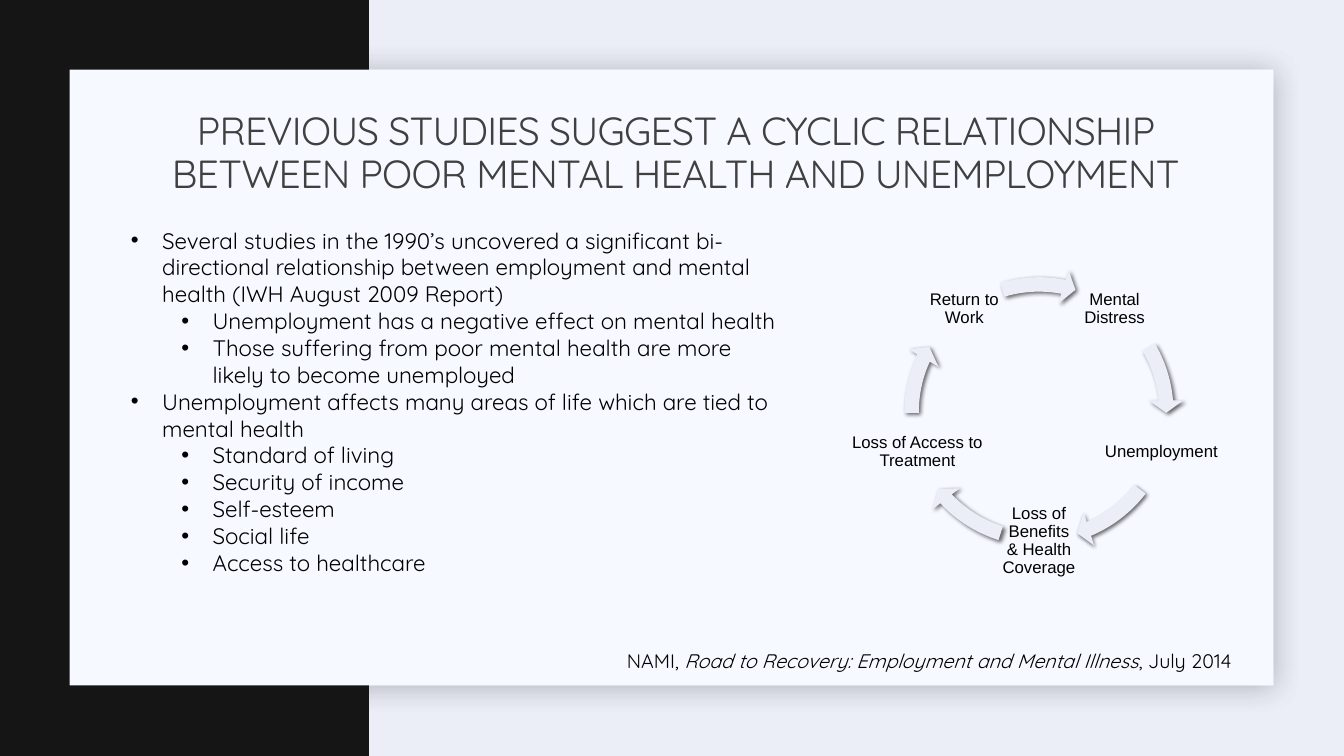
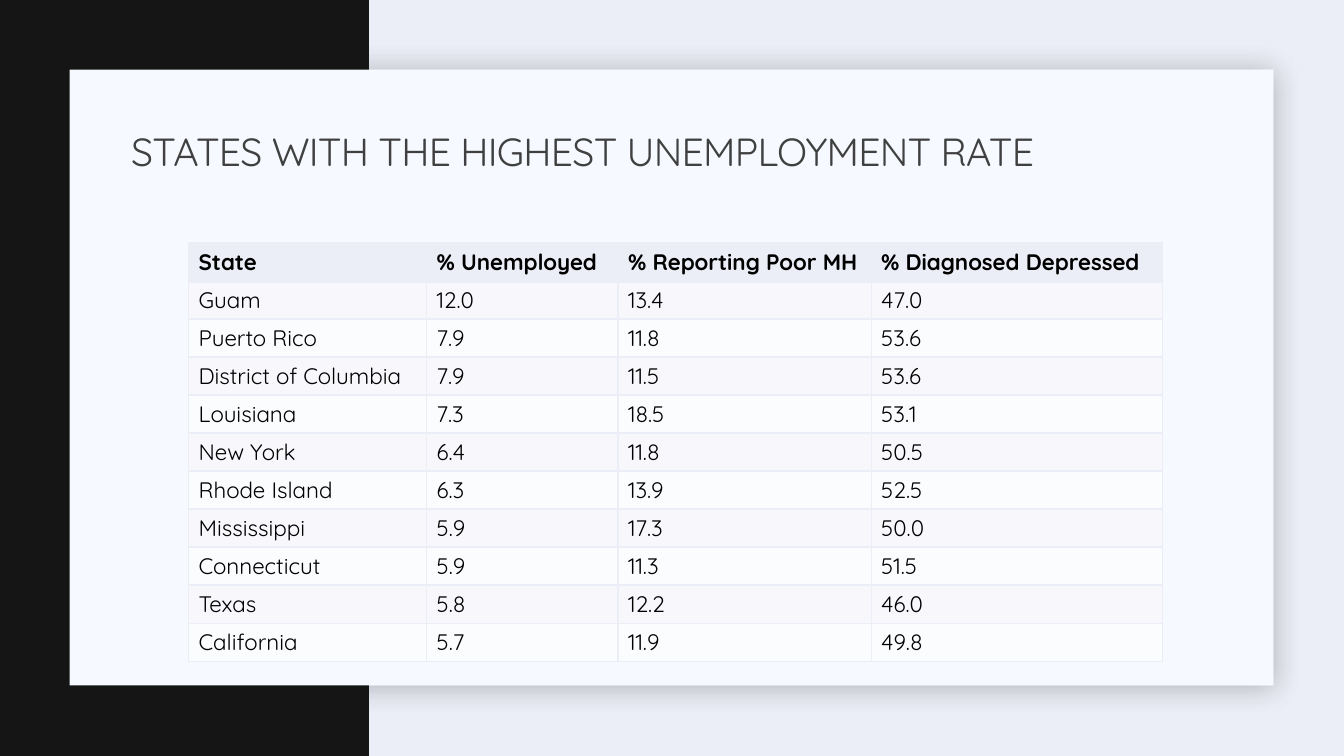
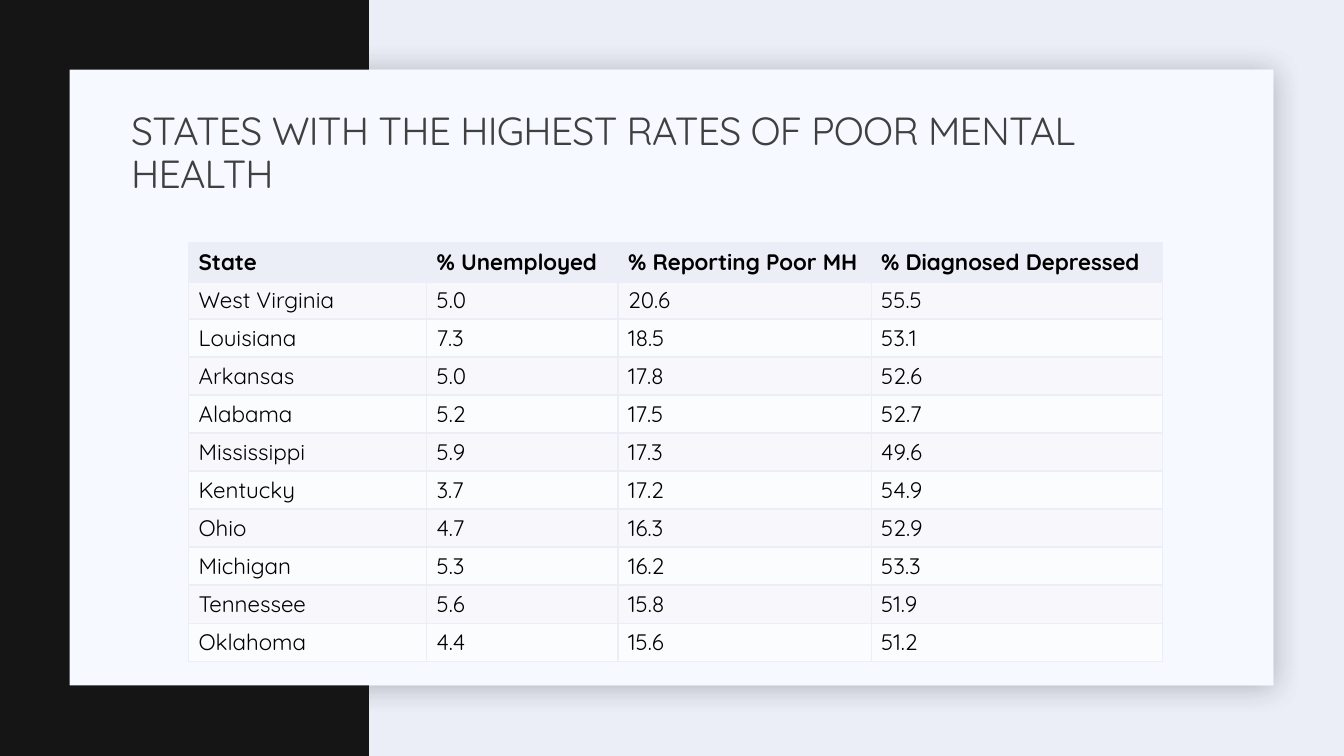
"""Build three slides on unemployment and mental health."""
from lxml import etree
from pptx import Presentation
from pptx.dml.color import RGBColor
from pptx.enum.shapes import MSO_SHAPE
from pptx.enum.text import MSO_ANCHOR, MSO_AUTO_SIZE, PP_ALIGN
from pptx.oxml.ns import qn
from pptx.util import Inches, Pt

RECTANGLE, ARROW = MSO_SHAPE.RECTANGLE, MSO_SHAPE.CIRCULAR_ARROW
TOP, MIDDLE = MSO_ANCHOR.TOP, MSO_ANCHOR.MIDDLE
LEFT, CENTER = PP_ALIGN.LEFT, PP_ALIGN.CENTER
NO_FIT = MSO_AUTO_SIZE.NONE

LAVENDER = RGBColor(0xEC, 0xEE, 0xF7)
CARD_FILL = RGBColor(0xF6, 0xF9, 0xFF)
BAND_FILL = RGBColor(0x14, 0x15, 0x14)
CARD_SHADOW = RGBColor(0x1F, 0x21, 0x25)
TITLE_GRAY = RGBColor(0x40, 0x40, 0x40)
BLACK = RGBColor(0, 0, 0)
ROW_FILLS = (RGBColor(0xF8, 0xF8, 0xFC), RGBColor(0xFB, 0xFC, 0xFD))
FONT, CYCLE_FONT = "Quicksand", "Arial"

CARD = (0.69, 0.69, 11.94, 6.11)
BAND = (0, 0, 3.66, 7.5)
TITLE_BOX = (1.2, 1.03, 11, 1)

CYCLE_TITLE = ("PREVIOUS STUDIES SUGGEST A CYCLIC RELATIONSHIP "
               "BETWEEN POOR MENTAL HEALTH AND UNEMPLOYMENT")
FINDINGS = [
    ("Several studies in the 1990’s uncovered a significant bi-directional "
     "relationship between employment and mental health (IWH August 2009 Report)",
     ["Unemployment has a negative effect on mental health",
      "Those suffering from poor mental health are more likely to become unemployed"]),
    ("Unemployment affects many areas of life which are tied to mental health",
     ["Standard of living", "Security of income", "Self-esteem", "Social life",
      "Access to healthcare"]),
]
CITATION = [("NAMI, ", False),
            ("Road to Recovery: Employment and Mental Illness", True),
            (", July 2014", False)]
CYCLE_CIRCLE = (8.87, 2.65, 2.87, 2.87)
CYCLE_STAGES = [
    ("Mental Distress", 10.67, 2.68, 0.77),
    ("Unemployment", 10.89, 4.1, 1.26),
    ("Loss of Benefits & Health Coverage", 9.92, 4.98, 0.77),
    ("Loss of Access to Treatment", 8.42, 4.1, 1.36),
    ("Return to Work", 9.18, 2.68, 0.77),
]
STAGE_HEIGHT = 0.77
ARROW_ANGLES = [(329.43, 354.89), (37.55, 66.92), (107.49, 136.85),
                (179.51, 204.97), (253.3, 281.1)]

HEADERS = ("State", "% Unemployed", "% Reporting Poor MH", "% Diagnosed Depressed")
COLUMN_WIDTHS = (2.36, 1.9, 2.51, 2.89)
TABLE_LEFT, TABLE_TOP, TABLE_HEIGHT, ROW_HEIGHT = 1.87, 2.41, 4.03, 0.33
STATE_TABLES = [
    ("STATES WITH THE HIGHEST UNEMPLOYMENT RATE", [
        ("Guam", "12.0", "13.4", "47.0"),
        ("Puerto Rico", "7.9", "11.8", "53.6"),
        ("District of Columbia", "7.9", "11.5", "53.6"),
        ("Louisiana", "7.3", "18.5", "53.1"),
        ("New York", "6.4", "11.8", "50.5"),
        ("Rhode Island", "6.3", "13.9", "52.5"),
        ("Mississippi", "5.9", "17.3", "50.0"),
        ("Connecticut", "5.9", "11.3", "51.5"),
        ("Texas", "5.8", "12.2", "46.0"),
        ("California", "5.7", "11.9", "49.8"),
    ]),
    ("STATES WITH THE HIGHEST RATES OF POOR MENTAL HEALTH", [
        ("West Virginia", "5.0", "20.6", "55.5"),
        ("Louisiana", "7.3", "18.5", "53.1"),
        ("Arkansas", "5.0", "17.8", "52.6"),
        ("Alabama", "5.2", "17.5", "52.7"),
        ("Mississippi", "5.9", "17.3", "49.6"),
        ("Kentucky", "3.7", "17.2", "54.9"),
        ("Ohio", "4.7", "16.3", "52.9"),
        ("Michigan", "5.3", "16.2", "53.3"),
        ("Tennessee", "5.6", "15.8", "51.9"),
        ("Oklahoma", "4.4", "15.6", "51.2"),
    ]),
]


def inches(box):
    return [Inches(length) for length in box]


def add_color(parent, color):
    return etree.SubElement(parent, qn("a:srgbClr"), val=str(color))


def write(paragraph, text, size=16, font=FONT, color=BLACK, bold=False,
          align=LEFT, line_spacing=1.0, tracking=0, bullet_indent=None):
    """Write a string, or a list of (text, italic) runs, into a paragraph."""
    paragraph.alignment = align
    paragraph.line_spacing = line_spacing
    for content, italic in [(text, False)] if isinstance(text, str) else text:
        run = paragraph.add_run()
        run.text = content
        run.font.name, run.font.size = font, Pt(size)
        run.font.bold, run.font.italic = bold, italic
        run.font.color.rgb = color
        if tracking:
            run.font._element.set("spc", str(int(tracking * 100)))
    if bullet_indent is not None:
        properties = paragraph._p.get_or_add_pPr()
        properties.set("marL", str(Inches(bullet_indent)))
        properties.set("indent", str(Inches(-0.31)))
        etree.SubElement(properties, qn("a:buFont"), typeface="Arial")
        etree.SubElement(properties, qn("a:buChar"), char="•")


def add_text_box(slide, box, anchor=TOP, margin=None):
    frame = slide.shapes.add_textbox(*inches(box)).text_frame
    frame.word_wrap = True
    frame.vertical_anchor = anchor
    if margin is not None:
        frame.margin_left = frame.margin_right = Inches(margin)
        frame.margin_top = frame.margin_bottom = Inches(margin)
    return frame


def add_filled_shape(slide, kind, box, color, shadow=None):
    """Add an unlined shape; shadow is (colour, opacity percent, blur points)."""
    shape = slide.shapes.add_shape(kind, *inches(box))
    shape.fill.solid()
    shape.fill.fore_color.rgb = color
    shape.line.fill.background()
    shape.shadow.inherit = False
    if shadow:
        shadow_color, opacity, blur = shadow
        effects = shape._element.spPr.find(qn("a:effectLst"))
        outer = etree.SubElement(effects, qn("a:outerShdw"), blurRad=str(Pt(blur)),
                                 dist=str(Pt(2)), dir="2700000", algn="tl",
                                 rotWithShape="0")
        etree.SubElement(add_color(outer, shadow_color), qn("a:alpha"),
                         val=str(opacity * 1000))
    return shape


def decorate_layout(layout, slide):
    """Give the layout its background, card and side band."""
    layout.background.fill.solid()
    layout.background.fill.fore_color.rgb = LAVENDER
    for placeholder in list(layout.placeholders)[1:]:
        placeholder._element.getparent().remove(placeholder._element)
    card = (CARD, CARD_FILL, (CARD_SHADOW, 15, 20))
    parts = [card, (BAND, BAND_FILL, None), card]
    shapes = [add_filled_shape(slide, RECTANGLE, *part) for part in parts]
    for position, shape in enumerate(shapes, start=2):
        layout.shapes._spTree.insert(position, shape._element)


def set_title(slide, text, align=LEFT):
    title = slide.shapes.title
    title.left, title.top, title.width, title.height = inches(TITLE_BOX)
    frame = title.text_frame
    frame.auto_size = NO_FIT
    frame.word_wrap = True
    frame.vertical_anchor = MIDDLE
    write(frame.paragraphs[0], text, size=28, color=TITLE_GRAY, align=align,
          line_spacing=0.9, tracking=-0.5)


def add_cycle(slide):
    for (label, left, top, width), (start, end) in zip(CYCLE_STAGES, ARROW_ANGLES):
        frame = add_text_box(slide, (left, top, width, STAGE_HEIGHT), MIDDLE, 0.02)
        write(frame.paragraphs[0], label, size=12, font=CYCLE_FONT, align=CENTER,
              line_spacing=0.9)
        arrow = add_filled_shape(slide, ARROW, CYCLE_CIRCLE, LAVENDER, (BLACK, 60, 3))
        settings = (0.05, 5.6 * 0.6, end * 0.6, start * 0.6, 0.06)
        for index, value in enumerate(settings):
            arrow.adjustments[index] = value


def add_findings(slide):
    frame = add_text_box(slide, (1.2, 2.2, 6.65, 3.87))
    lines = []
    for finding, details in FINDINGS:
        lines += [(finding, 0.31)] + [(detail, 0.81) for detail in details]
    for index, (text, indent) in enumerate(lines):
        paragraph = frame.add_paragraph() if index else frame.paragraphs[0]
        write(paragraph, text, bullet_indent=indent)


def set_borders(cell, bottom):
    properties = cell._tc.get_or_add_tcPr()
    for index, (side, width) in enumerate(zip("LRTB", (1, 1, 1, bottom))):
        line = etree.Element(qn(f"a:ln{side}"), w=str(Pt(width)))
        add_color(etree.SubElement(line, qn("a:solidFill")), LAVENDER)
        properties.insert(index, line)


def add_state_table(slide, states):
    rows = [HEADERS] + states
    graphic = slide.shapes.add_table(
        len(rows), len(HEADERS), Inches(TABLE_LEFT), Inches(TABLE_TOP),
        Inches(sum(COLUMN_WIDTHS)), Inches(TABLE_HEIGHT))
    table = graphic.table
    table.horz_banding = False
    for column, width in zip(table.columns, COLUMN_WIDTHS):
        column.width = Inches(width)
    for row_index, values in enumerate(rows):
        header = row_index == 0
        table.rows[row_index].height = Inches(ROW_HEIGHT)
        for column_index, value in enumerate(values):
            cell = table.cell(row_index, column_index)
            cell.fill.solid()
            cell.fill.fore_color.rgb = LAVENDER if header else ROW_FILLS[(row_index - 1) % 2]
            set_borders(cell, bottom=3 if header else 1)
            write(cell.text_frame.paragraphs[0], value, bold=header)
    graphic.height = Inches(TABLE_HEIGHT)


def main():
    presentation = Presentation()
    presentation.slide_width, presentation.slide_height = Inches(13.33), Inches(7.5)
    layout = presentation.slide_layouts[5]

    slide = presentation.slides.add_slide(layout)
    decorate_layout(layout, slide)
    set_title(slide, CYCLE_TITLE, align=CENTER)
    add_cycle(slide)
    write(add_text_box(slide, (6.12, 6.39, 6.54, 0.34)).paragraphs[0], CITATION, size=14)
    add_findings(slide)

    for title, states in STATE_TABLES:
        slide = presentation.slides.add_slide(layout)
        set_title(slide, title)
        add_state_table(slide, states)

    presentation.save("out.pptx")


if __name__ == "__main__":
    main()
